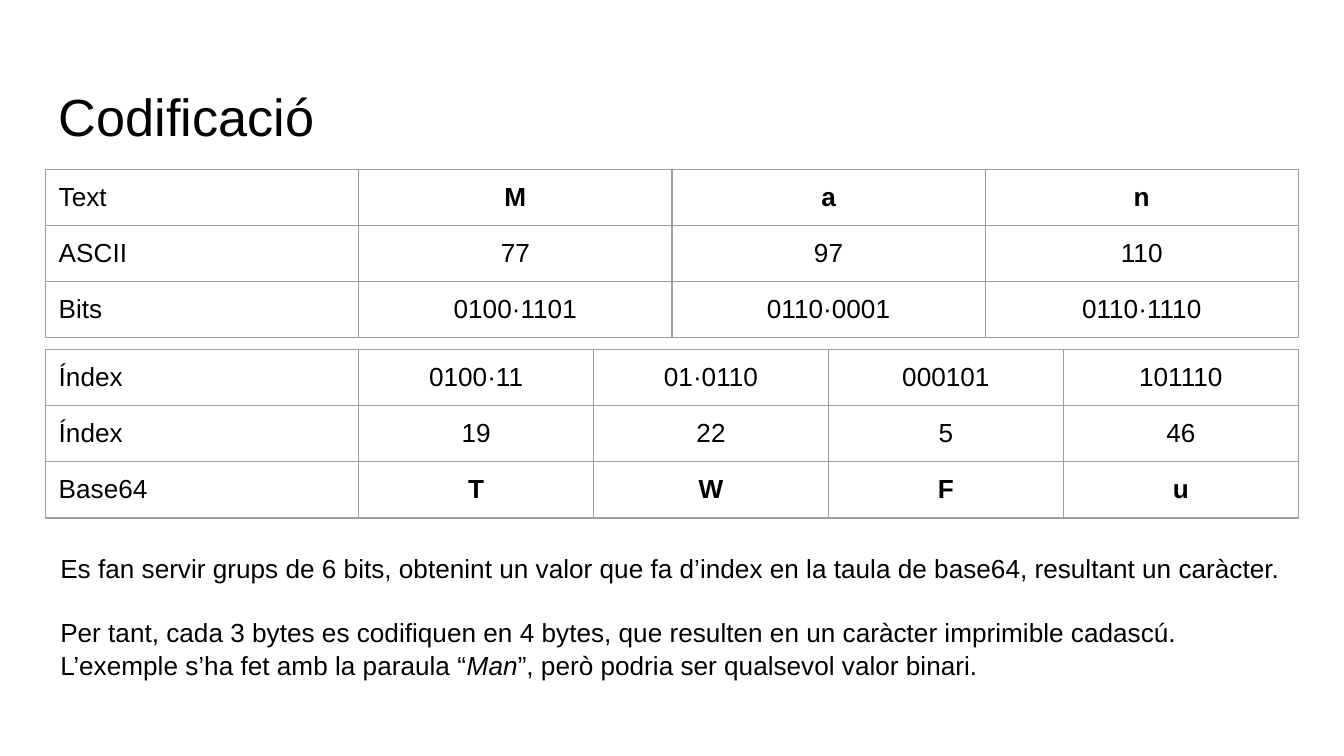
from lxml.etree import SubElement
from pptx import Presentation
from pptx.dml.color import RGBColor
from pptx.enum.text import MSO_ANCHOR, MSO_AUTO_SIZE, PP_ALIGN
from pptx.oxml.ns import qn
from pptx.util import Cm, Pt

COLORS = {"text": "000000", "border": "9E9E9E", "background": "FFFFFF"}
LEFT = 0.86
INSET = 0.25
ROW_HEIGHT = 1.06
LABEL_WIDTH = 5.92
TABLE_WIDTH = 4 * LABEL_WIDTH


class SlideBuilder:
    font = "Arial"
    size = 14

    def __init__(self, deck):
        self.page = deck.slides.add_slide(deck.slide_layouts[5])
        fill = self.page.background.fill
        fill.solid()
        fill.fore_color.rgb = RGBColor.from_string(COLORS["background"])

    def add_span(self, para, text, size=None, bold=False, italic=False):
        span = para.add_run()
        span.text = text
        span.font.name = self.font
        span.font.size = Pt(size or self.size)
        span.font.bold = bold
        span.font.italic = italic
        span.font.color.rgb = RGBColor.from_string(COLORS["text"])

    def set_frame(self, frame, top=INSET, bottom=INSET):
        frame.word_wrap = True
        frame.auto_size = MSO_AUTO_SIZE.NONE
        frame.vertical_anchor = MSO_ANCHOR.TOP
        frame.margin_left = frame.margin_right = Cm(INSET)
        frame.margin_top, frame.margin_bottom = Cm(top), Cm(bottom)

    def add_title(self, text, left, top, width, height):
        title = self.page.shapes.title
        title.left, title.top = Cm(left), Cm(top)
        title.width, title.height = Cm(width), Cm(height)
        self.set_frame(title.text_frame, top=0.35, bottom=0)
        para = title.text_frame.paragraphs[0]
        para.alignment = PP_ALIGN.LEFT
        self.add_span(para, text, size=28)

    def add_borders(self, cell):
        properties = cell._tc.get_or_add_tcPr()
        for position, side in enumerate(("lnL", "lnR", "lnT", "lnB")):
            line = SubElement(properties, qn(f"a:{side}"), w=str(Pt(0.75)))
            fill = SubElement(line, qn("a:solidFill"))
            SubElement(fill, qn("a:srgbClr"), val=COLORS["border"])
            properties.insert(position, line)

    def add_table(self, rows, top, bold_row):
        count = len(rows[0])
        frame = self.page.shapes.add_table(
            len(rows), count, Cm(LEFT), Cm(top),
            Cm(TABLE_WIDTH), Cm(ROW_HEIGHT * len(rows)))
        table = frame.table
        table.first_row = table.horz_banding = False

        # The label column is fixed; the others share the rest
        value_width = (TABLE_WIDTH - LABEL_WIDTH) / (count - 1)
        for index, column in enumerate(table.columns):
            column.width = Cm(value_width if index else LABEL_WIDTH)

        for row_index, values in enumerate(rows):
            table.rows[row_index].height = Cm(ROW_HEIGHT)
            for column_index, value in enumerate(values):
                cell = table.cell(row_index, column_index)
                cell.fill.background()
                cell.margin_left = cell.margin_right = Cm(INSET)
                cell.margin_top = cell.margin_bottom = Cm(INSET)
                self.add_borders(cell)
                is_value = column_index > 0
                para = cell.text_frame.paragraphs[0]
                para.alignment = PP_ALIGN.CENTER if is_value else PP_ALIGN.LEFT
                self.add_span(para, value,
                              bold=is_value and row_index == bold_row)

    def add_text(self, paragraphs, left, top, width, height):
        box = self.page.shapes.add_textbox(
            Cm(left), Cm(top), Cm(width), Cm(height))
        frame = box.text_frame
        self.set_frame(frame)
        for index, (spans, space_after) in enumerate(paragraphs):
            para = frame.add_paragraph() if index else frame.paragraphs[0]
            para.line_spacing = 1.05
            para.space_after = Pt(space_after)
            for text, italic in spans:
                self.add_span(para, text, italic=italic)


def main():
    deck = Presentation()
    deck.slide_width, deck.slide_height = Cm(25.4), Cm(14.29)
    slide = SlideBuilder(deck)

    slide.add_title("Codificació", LEFT, 1.24, 23.67, 1.6)

    # Three bytes of input
    slide.add_table([
        ["Text", "M", "a", "n"],
        ["ASCII", "77", "97", "110"],
        ["Bits", "0100·1101", "0110·0001", "0110·1110"],
    ], top=3.2, bold_row=0)

    # Four characters of output
    slide.add_table([
        ["Índex", "0100·11", "01·0110", "000101", "101110"],
        ["Índex", "19", "22", "5", "46"],
        ["Base64", "T", "W", "F", "u"],
    ], top=6.61, bold_row=2)

    # Explanation
    slide.add_text([
        ([("Es fan servir grups de 6 bits, obtenint un valor que fa d’index "
           "en la taula de base64, resultant un caràcter.", False)], 17),
        ([("Per tant, cada 3 bytes es codifiquen en 4 bytes, que resulten "
           "en un caràcter imprimible cadascú.", False)], 0),
        ([("L’exemple s’ha fet amb la paraula “", False), ("Man", True),
          ("”, però podria ser qualsevol valor binari.", False)], 0),
    ], 0.89, 10.16, 23.65, 2.8)

    deck.save("out.pptx")


if __name__ == "__main__":
    main()
